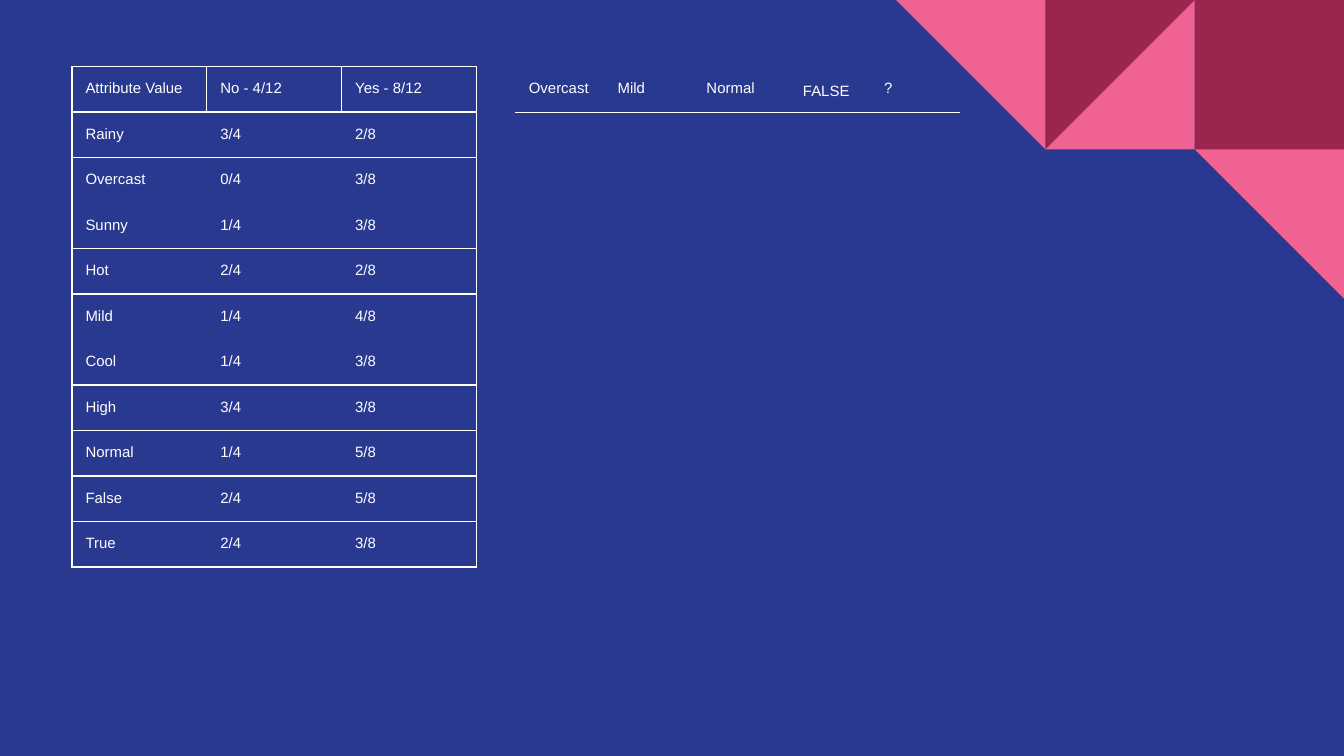
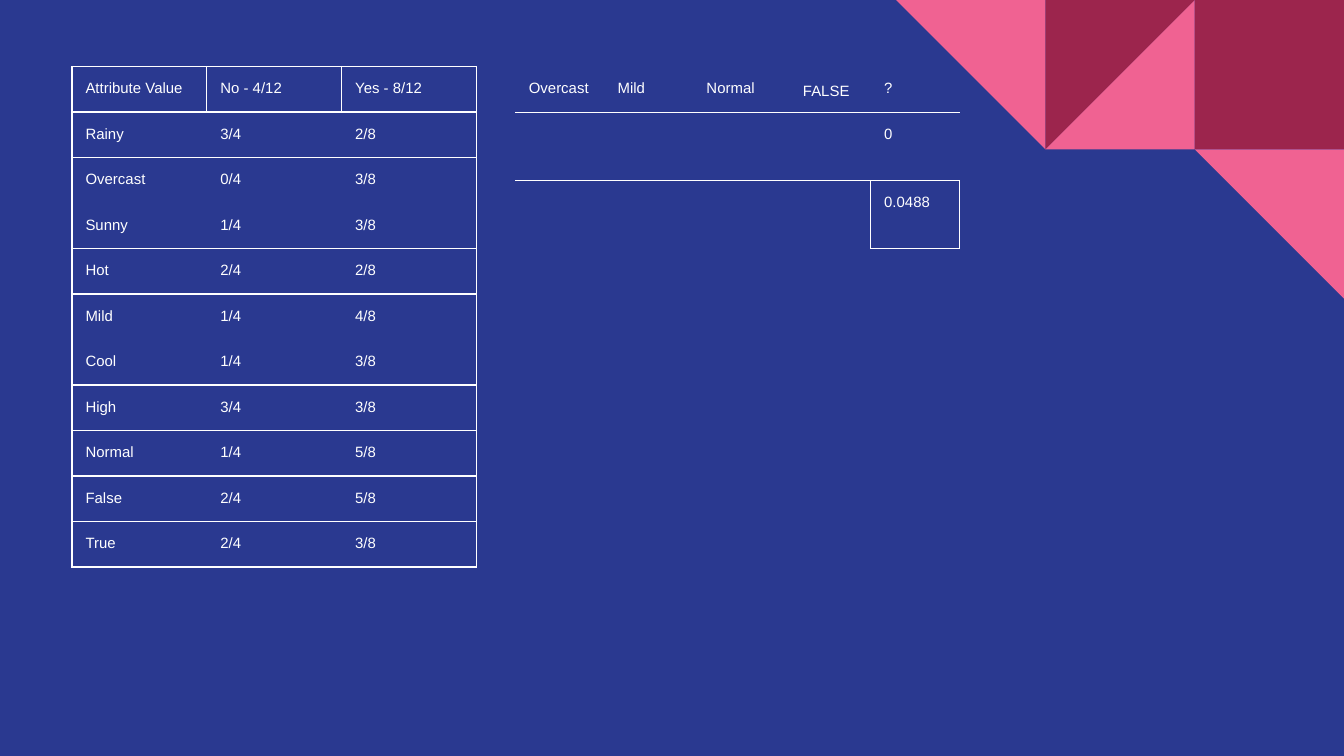
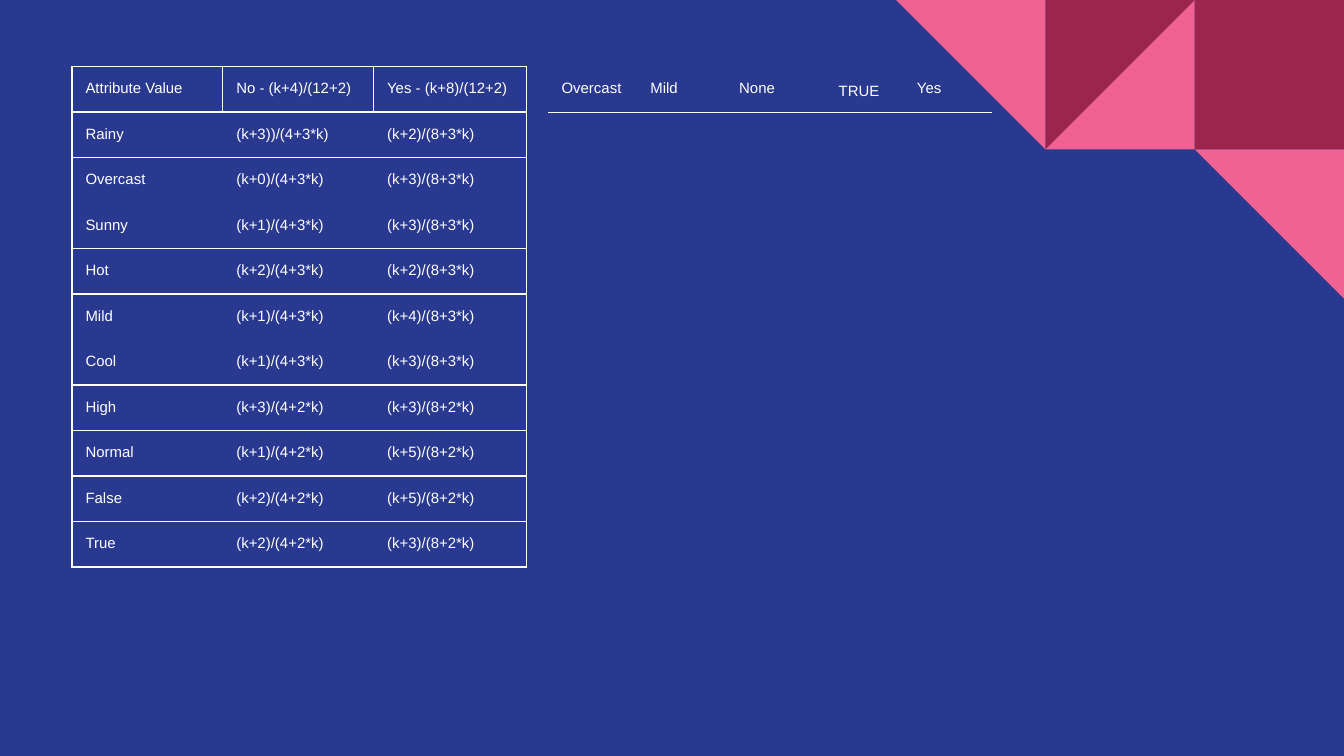
from lxml.etree import SubElement
from pptx import Presentation
from pptx.dml.color import RGBColor
from pptx.enum.shapes import MSO_SHAPE as Preset
from pptx.enum.text import PP_ALIGN as Align
from pptx.oxml.ns import qn
from pptx.util import Pt

COLORS = {"blue": "2A3990", "wine": "9C254D", "pink": "F06292", "white": "FFFFFF"}
NO_GRID_STYLE = "{2D5ABB26-0587-4C30-8999-92F81FD0307C}"
TILE = 80
TABLE_LEFT, TABLE_TOP = 38.6, 35.6
ROW_HEIGHT = 24.4
CASE_COLUMNS = [47.6] * 5

NO_TOTAL, YES_TOTAL = 4, 8
# Each group is one attribute: value, count for No, count for Yes
ATTRIBUTES = [
    [("Rainy", 3, 2), ("Overcast", 0, 3), ("Sunny", 1, 3)],
    [("Hot", 2, 2), ("Mild", 1, 4), ("Cool", 1, 3)],
    [("High", 3, 3), ("Normal", 1, 5)],
    [("False", 2, 5), ("True", 2, 3)],
]


class Deck:
    """Holds the shared style and the slide being filled."""

    def __init__(self):
        self.deck = Presentation()
        self.deck.slide_width, self.deck.slide_height = Pt(720), Pt(405)
        self.layout = self.deck.slide_layouts[6]
        for placeholder in list(self.layout.placeholders):
            placeholder.element.getparent().remove(placeholder.element)
        background = self.deck.slide_master.background.fill
        background.solid()
        background.fore_color.rgb = RGBColor.from_string(COLORS["blue"])
        self.new_slide()
        self.add_corner()

    def new_slide(self):
        self.slide = self.deck.slides.add_slide(self.layout)

    def add_corner(self):
        """Draw the corner mosaic and move it to the layout all slides share."""
        triangle = Preset.RIGHT_TRIANGLE
        self.add_tile(Preset.RECTANGLE, 8, 0, "wine")
        self.add_tile(triangle, 7, 0, "pink", flipped=True)
        self.add_tile(triangle, 7, 0, "wine", rotation=180, flipped=True)
        self.add_tile(triangle, 6, 0, "pink", rotation=180)
        self.add_tile(triangle, 8, 1, "pink", rotation=180)
        for tile in list(self.slide.shapes):
            self.layout.shapes.element.append(tile.element)

    def add_tile(self, preset, column, row, color, rotation=0, flipped=False):
        tile = self.slide.shapes.add_shape(
            preset, Pt(column * TILE), Pt(row * TILE), Pt(TILE), Pt(TILE))
        tile.shadow.inherit = False
        tile.fill.solid()
        tile.fill.fore_color.rgb = RGBColor.from_string(COLORS[color])
        tile.line.fill.background()
        tile.rotation = rotation
        if flipped:
            tile.element.spPr.find(qn("a:xfrm")).set("flipH", "1")

    def add_table(self, left, widths, rows, sides_at):
        """Add a table; sides_at(row, column) names a cell's ruled sides."""
        frame = self.slide.shapes.add_table(
            len(rows), len(widths), Pt(left), Pt(TABLE_TOP),
            Pt(sum(widths)), Pt(ROW_HEIGHT * len(rows)))
        table = frame.table
        table.first_row = table.horz_banding = False
        frame.element.find(".//" + qn("a:tableStyleId")).text = NO_GRID_STYLE
        for column, width in zip(table.columns, widths):
            column.width = Pt(width)
        for row_index, row in enumerate(rows):
            table.rows[row_index].height = Pt(ROW_HEIGHT)
            for column_index, text in enumerate(row):
                cell = table.cell(row_index, column_index)
                self.rule_cell(cell, sides_at(row_index, column_index))
                self.fill_cell(cell, text)
        return table

    def rule_cell(self, cell, sides):
        properties = cell._tc.get_or_add_tcPr()
        for side in "LRTB":
            if side in sides:
                line = SubElement(properties, qn(f"a:ln{side}"), w=str(Pt(0.75)))
                paint = SubElement(line, qn("a:solidFill"))
                SubElement(paint, qn("a:srgbClr"), val=COLORS["white"])

    def fill_cell(self, cell, text):
        cell.fill.background()
        cell.margin_left = cell.margin_right = Pt(7.2)
        cell.margin_top = cell.margin_bottom = Pt(7.2)
        if text:
            cell.text_frame.text = text
            font = cell.text_frame.paragraphs[0].runs[0].font
            font.name, font.size = "Arial", Pt(8)
            font.color.rgb = RGBColor.from_string(COLORS["white"])

    def add_attributes(self, widths, rows):
        ends = [0]
        for group in ATTRIBUTES:
            ends.append(ends[-1] + len(group))

        def sides_at(row, column):
            if row == 0:
                return "LRTB"
            sides = "L" if column == 0 else "R" if column == len(widths) - 1 else ""
            return sides + "T" * (row - 1 in ends) + "B" * (row in ends)

        self.add_table(TABLE_LEFT, widths, rows, sides_at)

    def add_case(self, left, rows):
        """Add the case to classify, with its result boxed in the last column."""
        def sides_at(row, column):
            is_result = column == len(CASE_COLUMNS) - 1
            if row == 0:
                return "B"
            if row == 1:
                return "TB" if is_result and len(rows) > 2 else "T"
            return "LRTB" if is_result else "R" * (column == len(CASE_COLUMNS) - 2)

        table = self.add_table(left, CASE_COLUMNS, rows, sides_at)
        windy = table.cell(0, 3).text_frame.paragraphs[0]
        windy.alignment = Align.CENTER
        windy.line_spacing = 1.15


def main():
    plain = [["Attribute Value", "No - 4/12", "Yes - 8/12"]]
    smoothed = [["Attribute Value", "No - (k+4)/(12+2)", "Yes - (k+8)/(12+2)"]]
    for group in ATTRIBUTES:
        size = len(group)
        for value, no, yes in group:
            plain.append([value, f"{no}/{NO_TOTAL}", f"{yes}/{YES_TOTAL}"])
            smoothed.append([value, f"(k+{no})/({NO_TOTAL}+{size}*k)",
                             f"(k+{yes})/({YES_TOTAL}+{size}*k)"])
    smoothed[1][1] = "(k+3))/(4+3*k)"

    question = ["Overcast", "Mild", "Normal", "FALSE", "?"]
    blanks = [""] * 4
    plain_widths = [72.25] * 3

    show = Deck()
    show.add_attributes(plain_widths, plain)
    show.add_case(276.1, [question, blanks + [""]])

    show.new_slide()
    show.add_attributes(plain_widths, plain)
    show.add_case(276.1, [question, blanks + ["0"], blanks + ["0.0488"]])

    show.new_slide()
    show.add_attributes([80.8, 80.8, 81.8], smoothed)
    show.add_case(293.6, [["Overcast", "Mild", "None", "TRUE", "Yes"]])

    show.deck.save("out.pptx")


if __name__ == "__main__":
    main()
